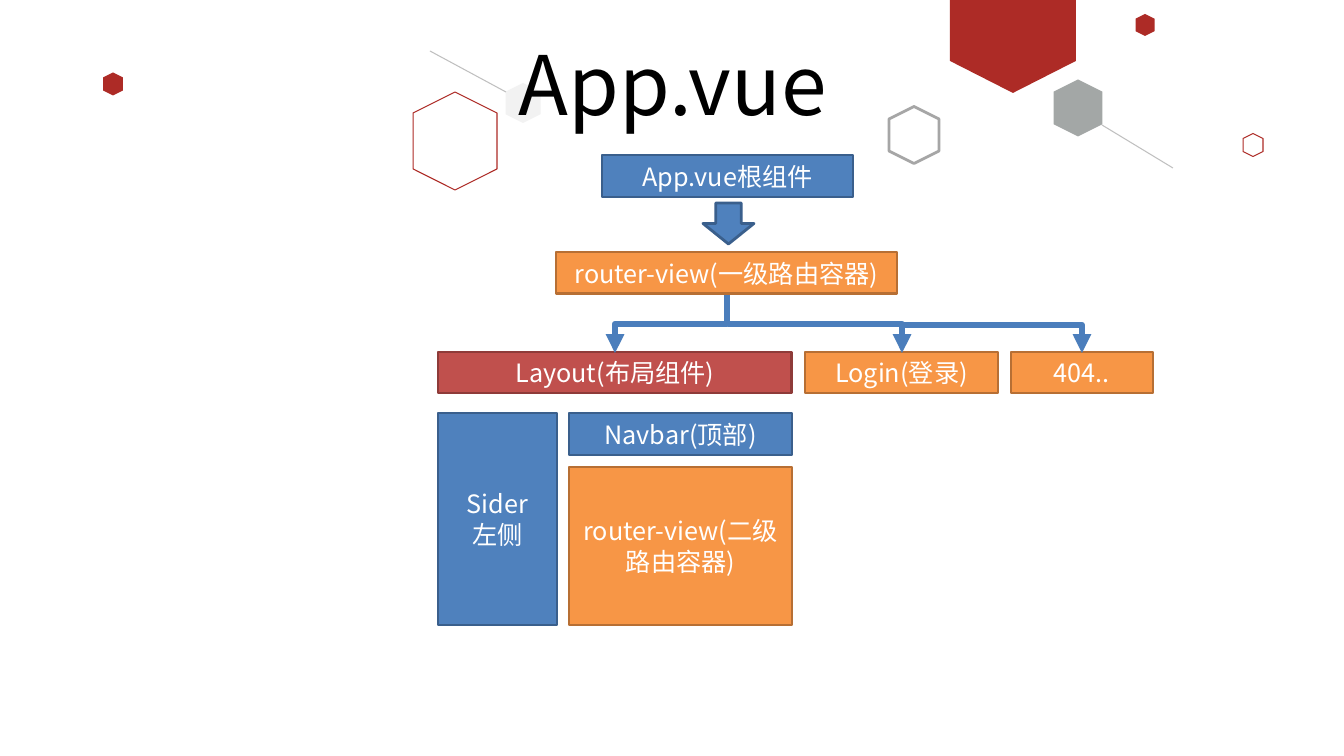
from lxml import etree
from pptx import Presentation
from pptx import util as u
from pptx.dml.color import RGBColor
from pptx.enum import shapes, text
from pptx.oxml.ns import qn

FONT = "Noto Sans CJK JP"
COLORS = {
    "crimson": "AD2B26", "slate": "49504F", "silver": "A6A6A6",
    "mist": "F2F2F2", "thread": "BFBFBF", "arrow": "4B7EBC",
    "blue": "4F81BD", "blue edge": "3A5F8C",
    "orange": "F79646", "orange edge": "B76F34",
    "red": "C0504D", "red edge": "8E3B39",
    "white": "FFFFFF", "black": "000000",
}
BANNER = [(950, -21), (1076, -21), (1076, 61), (1013, 93), (950, 61)]
# center x, center y, height, width, fill, line, line width
HEXAGONS = [
    (1078, 108, 57, 49, "slate", None, 0),
    (914, 135, 57, 50, None, "silver", 2),
    (1145, 25, 22, 19, "crimson", None, 0),
    (455, 141, 98, 84, None, "crimson", 0.75),
    (1253, 145, 23, 20, None, "crimson", 0.75),
    (113, 84, 23, 20, "crimson", None, 0),
    (523, 103, 40, 35, "mist", None, 0),
]
THREADS = [(1102, 125, 1173, 168), (430, 51, 506, 92)]
TITLE = ("App.vue", (93, 40, 1159, 146))
BOXES = [
    (["App.vue根组件"], (602, 155, 251, 42), "blue"),
    (["router-view(一级路由容器)"], (556, 252, 341, 42), "orange"),
    (["Layout(布局组件)"], (438, 352, 354, 41), "red"),
    (["Login(登录)"], (805, 352, 193, 41), "orange"),
    (["404.."], (1011, 352, 142, 41), "orange"),
    (["Navbar(顶部)"], (569, 413, 223, 42), "blue"),
    (["Sider", "左侧"], (438, 413, 119, 212), "blue"),
    (["router-view(二级路由容器)"], (569, 467, 223, 158), "orange"),
]
DOWN_ARROW = (703, 203, 51, 41)
BRANCHES = [
    ((642, 268, 700, 380), "bentConnector3", 90),
    ((728, 324, 902, 353), "bentConnector2", 0),
    ((902, 325, 1082, 353), "bentConnector2", 0),
]


def px(length):
    return u.Inches(length / 100.8)


def rgb(name):
    return RGBColor.from_string(COLORS[name])


def paint(shape, fill, line, width):
    shape.shadow.inherit = False
    if fill:
        shape.fill.solid()
        shape.fill.fore_color.rgb = rgb(fill)
    else:
        shape.fill.background()
    if line:
        shape.line.color.rgb = rgb(line)
        shape.line.width = u.Pt(width)
    else:
        shape.line.fill.background()


def add_preset(slide, kind, frame, fill, line, width):
    shape = slide.shapes.add_shape(kind, *map(px, frame))
    paint(shape, fill, line, width)
    return shape


def write(shape, lines, size, color, anchor):
    frame = shape.text_frame
    frame.word_wrap = True
    frame.vertical_anchor = anchor
    frame.text = "\n".join(lines)
    for paragraph in frame.paragraphs:
        paragraph.alignment = text.PP_ALIGN.CENTER
        paragraph.font.size = u.Pt(size)
        paragraph.font.name = FONT
        paragraph.font.color.rgb = rgb(color)
        for run in paragraph.runs:
            etree.SubElement(run.font._element, qn("a:ea"), typeface=FONT)


def add_line(slide, kind, ends, color, width):
    connector = slide.shapes.add_connector(kind, *map(px, ends))
    connector.line.color.rgb = rgb(color)
    connector.line.width = u.Pt(width)
    etree.SubElement(connector._element.spPr, qn("a:effectLst"))
    return connector


def add_branch(slide, ends, preset, turn):
    branch = add_line(slide, shapes.MSO_CONNECTOR.ELBOW, ends, "arrow", 4.5)
    properties = branch._element.spPr
    properties.find(qn("a:prstGeom")).set("prst", preset)
    if turn:
        properties.find(qn("a:xfrm")).set("rot", str(turn * 60000))
    etree.SubElement(properties.find(qn("a:ln")), qn("a:tailEnd"), type="triangle")


def add_decoration(slide):
    builder = slide.shapes.build_freeform(*BANNER[0], scale=px(1))
    builder.add_line_segments(BANNER[1:], close=True)
    paint(builder.convert_to_shape(), "crimson", None, 0)
    for x, y, height, width, fill, line, weight in HEXAGONS:
        frame = (x - height / 2, y - width / 2, height, width)
        hexagon = add_preset(slide, shapes.MSO_SHAPE.HEXAGON, frame, fill, line, weight)
        hexagon.rotation = 90
        if fill == "slate":
            tint = hexagon._element.spPr.find(".//" + qn("a:srgbClr"))
            etree.SubElement(tint, qn("a:alpha"), val="50000")
    for ends in THREADS:
        add_line(slide, shapes.MSO_CONNECTOR.STRAIGHT, ends, "thread", 0.75)


def main():
    presentation = Presentation()
    presentation.slide_width, presentation.slide_height = px(1344), px(756)
    slide = presentation.slides.add_slide(presentation.slide_layouts[6])
    add_decoration(slide)

    words, frame = TITLE
    title = slide.shapes.add_textbox(*map(px, frame))
    write(title, [words], 58.6, "black", text.MSO_ANCHOR.TOP)
    title.text_frame.paragraphs[0].line_spacing = 0.9

    for lines, frame, color in BOXES:
        box = add_preset(slide, shapes.MSO_SHAPE.RECTANGLE, frame, color, color + " edge", 2)
        write(box, lines, 18, "white", text.MSO_ANCHOR.MIDDLE)
    add_preset(slide, shapes.MSO_SHAPE.DOWN_ARROW, DOWN_ARROW, "blue", "blue edge", 2)
    for branch in BRANCHES:
        add_branch(slide, *branch)
    presentation.save("out.pptx")


if __name__ == "__main__":
    main()
